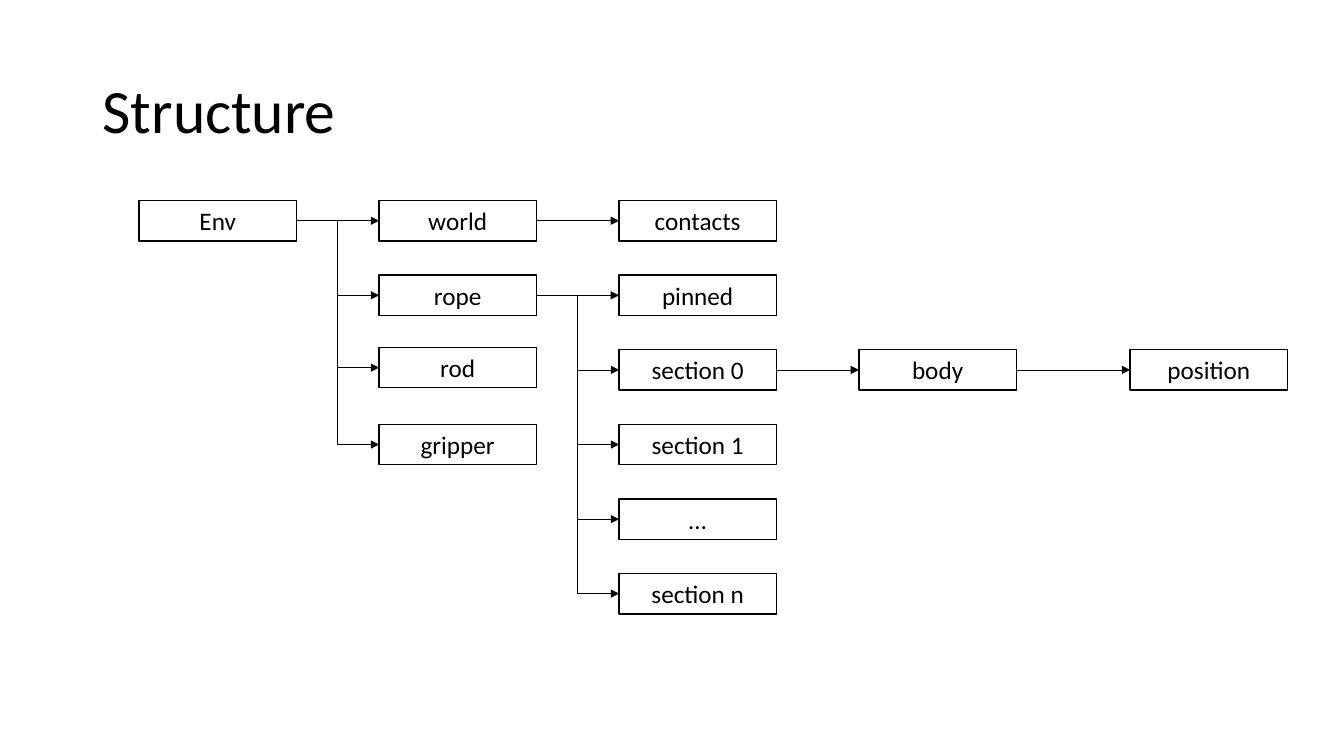
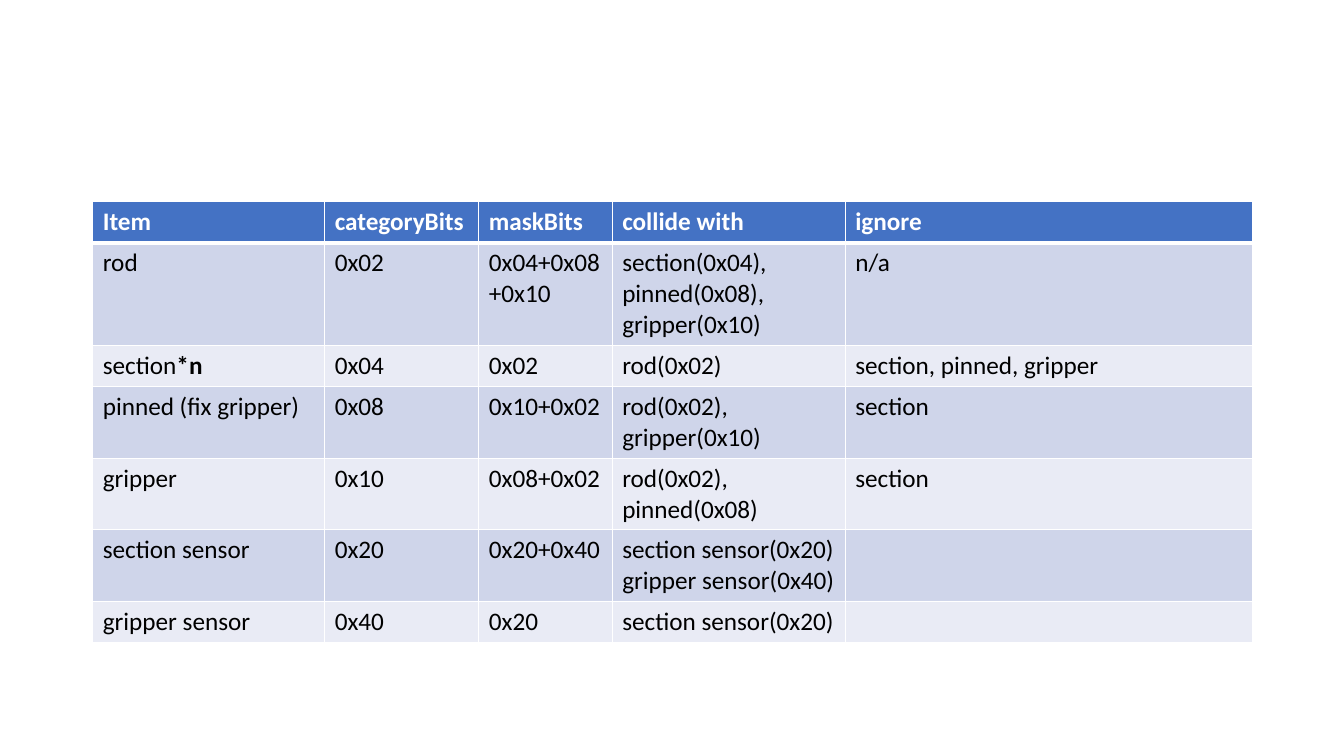
from dataclasses import dataclass

from lxml import etree
from pptx import Presentation
from pptx.dml.color import RGBColor
from pptx.enum.shapes import MSO_CONNECTOR, MSO_SHAPE
from pptx.enum.text import MSO_ANCHOR, PP_ALIGN
from pptx.oxml.ns import qn
from pptx.util import Inches, Pt

RECTANGLE = MSO_SHAPE.RECTANGLE
STRAIGHT, ELBOW = MSO_CONNECTOR.STRAIGHT, MSO_CONNECTOR.ELBOW
MIDDLE = MSO_ANCHOR.MIDDLE
LEFT, CENTER = PP_ALIGN.LEFT, PP_ALIGN.CENTER
LEFT_SIDE, RIGHT_SIDE = 1, 3


@dataclass(frozen=True)
class Theme:
    font: str = "Calibri"
    title_size: float = 44
    body_size: float = 18
    ink: str = "000000"
    paper: str = "FFFFFF"
    header: str = "4472C4"
    bands: tuple = ("CFD5EA", "E9EBF5")
    box_line: float = 1
    arrow_line: float = 0.5
    cell_line: float = 1
    header_line: float = 3


THEME = Theme()

# Page and grid, in inches
WIDTH, HEIGHT = 13.33, 7.5
MARGIN = 0.92
CONTENT_WIDTH = 11.5
GRID_LEFT, GRID_TOP = 1.38, 1.99
COLUMN_STEP, ROW_STEP = 2.38, 0.74
BOX_WIDTH, BOX_HEIGHT = 1.56, 0.4

# Boxes of the tree: name -> (column, row)
BOXES = {
    "Env": (0, 0),
    "world": (1, 0),
    "rope": (1, 1),
    "rod": (1, 1.97),
    "gripper": (1, 3),
    "contacts": (2, 0),
    "pinned": (2, 1),
    "section 0": (2, 2),
    "section 1": (2, 3),
    "…": (2, 4),
    "section n": (2, 5),
    "body": (3, 2),
    "position": (4.13, 2),
}
CHILDREN = {
    "Env": ["world", "rope", "rod", "gripper"],
    "world": ["contacts"],
    "rope": ["pinned", "section 0", "section 1", "…", "section n"],
    "section 0": ["body"],
    "body": ["position"],
}

# Collision table; a tuple holds plain text followed by bold text
TABLE_TOP, ROW_HEIGHT = 2, 0.41
COLUMN_SHARES = (0.2, 0.133, 0.115, 0.201, 0.351)
TABLE_ROWS = [
    ["Item", "categoryBits", "maskBits", "collide with", "ignore"],
    ["rod", "0x02", "0x04+0x08+0x10",
     "section(0x04), pinned(0x08), gripper(0x10)", "n/a"],
    [("section", "*n"), "0x04", "0x02", "rod(0x02)", "section, pinned, gripper"],
    ["pinned (fix gripper)", "0x08", "0x10+0x02",
     "rod(0x02), gripper(0x10)", "section"],
    ["gripper", "0x10", "0x08+0x02", "rod(0x02), pinned(0x08)", "section"],
    ["section sensor", "0x20", "0x20+0x40",
     "section sensor(0x20)\ngripper sensor(0x40)", ""],
    ["gripper sensor", "0x40", "0x20", "section sensor(0x20)", ""],
]


def color(value):
    return RGBColor.from_string(value)


def paint(target, value):
    target.fill.solid()
    target.fill.fore_color.rgb = color(value)


def style_text(frame, size=THEME.body_size, ink=THEME.ink, bold=False, align=LEFT):
    for paragraph in frame.paragraphs:
        paragraph.alignment = align
        font = paragraph.font
        font.name, font.size, font.bold = THEME.font, Pt(size), bold
        font.color.rgb = color(ink)


def add_slide(presentation):
    blank_layout = presentation.slide_layouts[6]
    return presentation.slides.add_slide(blank_layout)


def add_title(slide, text):
    shape = slide.shapes.add_textbox(
        Inches(MARGIN), Inches(0.4), Inches(CONTENT_WIDTH), Inches(1.45))
    frame = shape.text_frame
    frame.word_wrap = True
    frame.vertical_anchor = MIDDLE
    frame.text = text
    frame.paragraphs[0].line_spacing = 0.9
    style_text(frame, THEME.title_size)


def add_box(slide, text, column, row):
    shape = slide.shapes.add_shape(
        RECTANGLE,
        Inches(GRID_LEFT + column * COLUMN_STEP),
        Inches(GRID_TOP + row * ROW_STEP),
        Inches(BOX_WIDTH), Inches(BOX_HEIGHT))
    shape.shadow.inherit = False
    paint(shape, THEME.paper)
    shape.line.color.rgb = color(THEME.ink)
    shape.line.width = Pt(THEME.box_line)
    shape.text_frame.vertical_anchor = MIDDLE
    shape.text_frame.text = text
    style_text(shape.text_frame, align=CENTER)
    return shape


def add_arrow(slide, parent, child):
    kind = STRAIGHT if parent.top == child.top else ELBOW
    connector = slide.shapes.add_connector(kind, 0, 0, 0, 0)
    connector.begin_connect(parent, RIGHT_SIDE)
    connector.end_connect(child, LEFT_SIDE)
    connector.line.color.rgb = color(THEME.ink)
    connector.line.width = Pt(THEME.arrow_line)
    # Arrowhead, and no shadow
    line = connector.line._get_or_add_ln()
    etree.SubElement(line, qn("a:tailEnd"), type="triangle")
    etree.SubElement(connector._element.spPr, qn("a:effectLst"))


def add_cell_borders(cell, top, bottom):
    properties = cell._tc.get_or_add_tcPr()
    sides = {"L": THEME.cell_line, "R": THEME.cell_line, "T": top, "B": bottom}
    for side, width in sides.items():
        line = etree.SubElement(properties, qn(f"a:ln{side}"), w=str(Pt(width)))
        fill = etree.SubElement(line, qn("a:solidFill"))
        etree.SubElement(fill, qn("a:srgbClr"), val=THEME.paper)


def fill_cell(cell, content, row):
    is_header = row == 0
    # The thick rule lies between the header and the first row
    add_cell_borders(
        cell,
        top=THEME.header_line if row == 1 else THEME.cell_line,
        bottom=THEME.header_line if is_header else THEME.cell_line)
    paint(cell, THEME.header if is_header else THEME.bands[(row - 1) % 2])
    plain, bold = content if isinstance(content, tuple) else (content, "")
    frame = cell.text_frame
    frame.text = plain
    style_text(frame, ink=THEME.paper if is_header else THEME.ink, bold=is_header)
    if bold:
        run = frame.paragraphs[0].add_run()
        run.text = bold
        run.font.bold = True


def add_table(slide, rows):
    table = slide.shapes.add_table(
        len(rows), len(COLUMN_SHARES), Inches(MARGIN), Inches(TABLE_TOP),
        Inches(CONTENT_WIDTH), Inches(ROW_HEIGHT * len(rows))).table
    for column, share in zip(table.columns, COLUMN_SHARES):
        column.width = Inches(CONTENT_WIDTH * share)
    for row, contents in enumerate(rows):
        for column, content in enumerate(contents):
            fill_cell(table.cell(row, column), content, row)


def build_structure(presentation):
    slide = add_slide(presentation)
    add_title(slide, "Structure")
    boxes = {name: add_box(slide, name, *place) for name, place in BOXES.items()}
    for parent, children in CHILDREN.items():
        for child in children:
            add_arrow(slide, boxes[parent], boxes[child])


def build_collisions(presentation):
    add_table(add_slide(presentation), TABLE_ROWS)


def main():
    presentation = Presentation()
    presentation.slide_width = Inches(WIDTH)
    presentation.slide_height = Inches(HEIGHT)
    build_structure(presentation)
    build_collisions(presentation)
    presentation.save("out.pptx")


if __name__ == "__main__":
    main()
